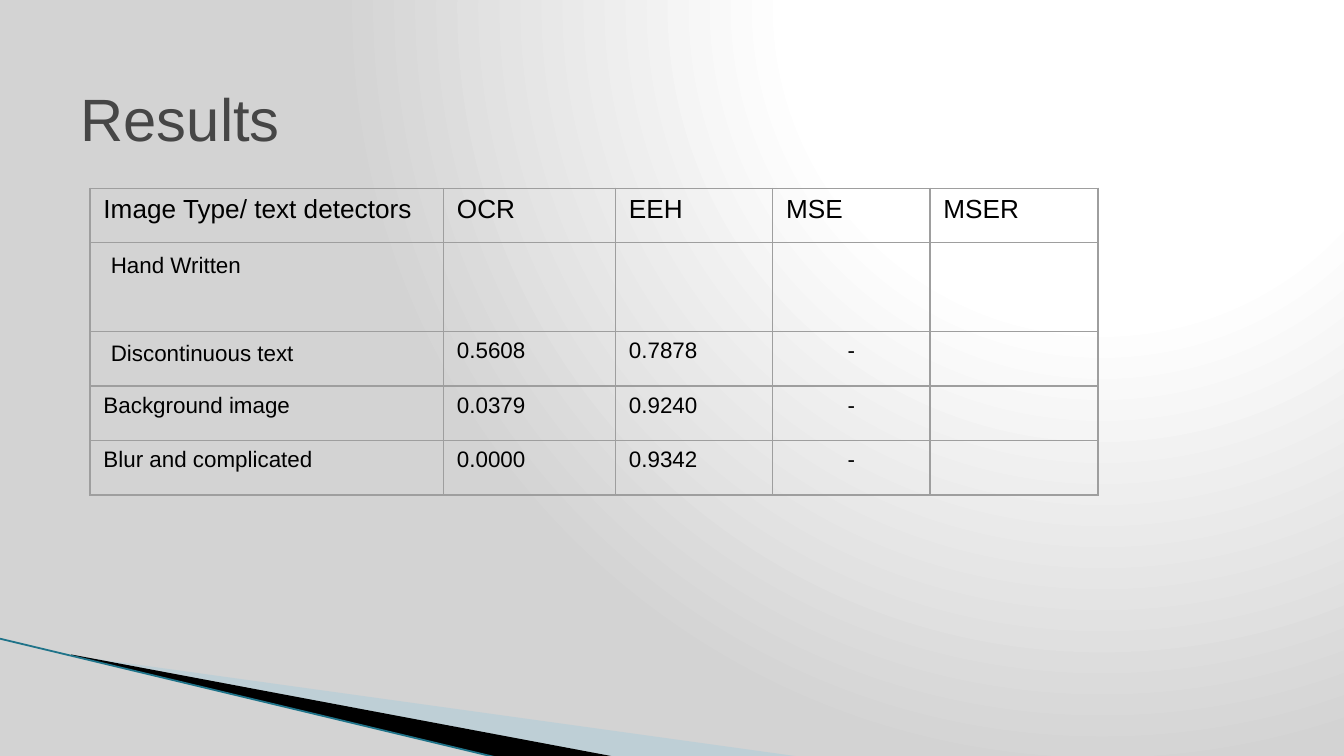
"""Build the results slide with its detector score table."""
from dataclasses import dataclass

from lxml import etree
from pptx import Presentation
from pptx.dml.color import RGBColor
from pptx.enum.shapes import MSO_CONNECTOR
from pptx.enum.text import MSO_ANCHOR, MSO_AUTO_SIZE, PP_ALIGN
from pptx.oxml import parse_xml
from pptx.oxml.ns import nsdecls, qn
from pptx.slide import Slide
from pptx.table import _Cell
from pptx.util import Inches, Pt


@dataclass(frozen=True)
class Theme:
    font: str = "Arial"
    title: str = "464646"
    text: str = "000000"
    border: str = "9E9E9E"
    light: str = "FFFFFF"
    shade: str = "D3D3D3"
    stripe: str = "1F7389"
    title_size: int = 32
    header_size: int = 14
    body_size: int = 12


@dataclass(frozen=True)
class Wedge:
    points: tuple[tuple[float, float], ...]
    color: str
    opacity: int = 100


THEME = Theme()
WEDGES = (
    Wedge(((0.55, 4.88), (5.95, 5.63), (4.56, 5.63)), "A0CBDC", 40),
    Wedge(((0.53, 4.87), (4.57, 5.63), (3.72, 5.64), (0.54, 4.88)), "000000"),
)
COLUMN_WIDTHS = (2.63, 1.28, 1.17, 1.17, 1.25)
ROW_HEIGHT = 2.03 / 5
ROW_HEIGHTS = (ROW_HEIGHT, 0.66, ROW_HEIGHT, ROW_HEIGHT, ROW_HEIGHT)
ROWS = (
    ("Image Type/ text detectors", "OCR", "EEH", "MSE", "MSER"),
    (" Hand Written", "", "", "", ""),
    (" Discontinuous text", "0.5608", "0.7878", "-", ""),
    ("Background image", "0.0379", "0.9240", "-", ""),
    ("Blur and complicated", "0.0000", "0.9342", "-", ""),
)


def add_run(paragraph, text: str, size: int, color: str) -> None:
    run = paragraph.add_run()
    run.text = text
    run.font.name = THEME.font
    run.font.size = Pt(size)
    run.font.color.rgb = RGBColor.from_string(color)


def paint_background(slide: Slide) -> None:
    slide.background.fill.solid()
    properties = slide.element.find(".//" + qn("p:bgPr"))
    stops = "".join(
        f'<a:gs pos="{position * 1000}"><a:srgbClr val="{color}"/></a:gs>'
        for position, color in ((0, THEME.light), (40, THEME.light), (100, THEME.shade))
    )
    gradient = parse_xml(
        f'<a:gradFill {nsdecls("a")} rotWithShape="1"><a:gsLst>{stops}</a:gsLst>'
        '<a:path path="circle"><a:fillToRect l="65000" b="98000"/></a:path></a:gradFill>'
    )
    properties.replace(properties.find(qn("a:solidFill")), gradient)


def add_wedge(slide: Slide, wedge: Wedge) -> None:
    start, *others = [(Inches(x), Inches(y)) for x, y in wedge.points]
    builder = slide.shapes.build_freeform(*start)
    builder.add_line_segments(others, close=True)
    shape = builder.convert_to_shape()
    shape.shadow.inherit = False
    shape.line.fill.background()
    shape.fill.solid()
    shape.fill.fore_color.rgb = RGBColor.from_string(wedge.color)
    if wedge.opacity < 100:
        color = shape.element.spPr.find(".//" + qn("a:srgbClr"))
        etree.SubElement(color, qn("a:alpha"), val=str(wedge.opacity * 1000))


def add_stripe(slide: Slide) -> None:
    stripe = slide.shapes.add_connector(
        MSO_CONNECTOR.STRAIGHT, Inches(-0.01), Inches(4.75), Inches(3.71), Inches(5.64)
    )
    stripe.line.color.rgb = RGBColor.from_string(THEME.stripe)
    stripe.line.width = Pt(0.95)
    etree.SubElement(stripe.element.spPr, qn("a:effectLst"))


def set_title(slide: Slide, text: str) -> None:
    title = slide.shapes.title
    title.left, title.top = Inches(0.5), Inches(0.4)
    title.width, title.height = Inches(8.99), Inches(0.84)
    frame = title.text_frame
    frame.auto_size = MSO_AUTO_SIZE.NONE
    frame.vertical_anchor = MSO_ANCHOR.BOTTOM
    frame.margin_left = frame.margin_right = Inches(0.1)
    frame.margin_top = frame.margin_bottom = Inches(0.1)
    frame.paragraphs[0].alignment = PP_ALIGN.LEFT
    add_run(frame.paragraphs[0], text, THEME.title_size, THEME.title)


def style_cell(cell: _Cell) -> None:
    cell.fill.background()
    properties = cell._tc.get_or_add_tcPr()
    for index, side in enumerate(("lnL", "lnR", "lnT", "lnB")):
        border = parse_xml(
            f'<a:{side} {nsdecls("a")} w="{Pt(0.75)}"><a:solidFill>'
            f'<a:srgbClr val="{THEME.border}"/></a:solidFill></a:{side}>'
        )
        properties.insert(index, border)


def fill_cell(cell: _Cell, text: str, size: int) -> None:
    style_cell(cell)
    paragraph = cell.text_frame.paragraphs[0]
    if text == "-":
        paragraph.alignment = PP_ALIGN.CENTER
    if text.startswith(" "):
        add_run(paragraph, " ", THEME.header_size, THEME.text)
    if text:
        add_run(paragraph, text.strip(), size, THEME.text)


def add_score_table(slide: Slide) -> None:
    table = slide.shapes.add_table(
        len(ROWS), len(COLUMN_WIDTHS), Inches(0.67), Inches(1.4),
        Inches(sum(COLUMN_WIDTHS)), Inches(sum(ROW_HEIGHTS)),
    ).table
    table.first_row = table.horz_banding = False
    for column, width in zip(table.columns, COLUMN_WIDTHS):
        column.width = Inches(width)
    for index, (row, height, texts) in enumerate(zip(table.rows, ROW_HEIGHTS, ROWS)):
        row.height = Inches(height)
        size = THEME.body_size if index else THEME.header_size
        for cell, text in zip(row.cells, texts):
            fill_cell(cell, text, size)


def main() -> None:
    presentation = Presentation()
    presentation.slide_width = Inches(10)
    presentation.slide_height = Inches(10 * 9 / 16)
    slide = presentation.slides.add_slide(presentation.slide_layouts.get_by_name("Title Only"))
    paint_background(slide)
    for wedge in WEDGES:
        add_wedge(slide, wedge)
    add_stripe(slide)
    set_title(slide, "Results")
    add_score_table(slide)
    presentation.save("out.pptx")


main()
